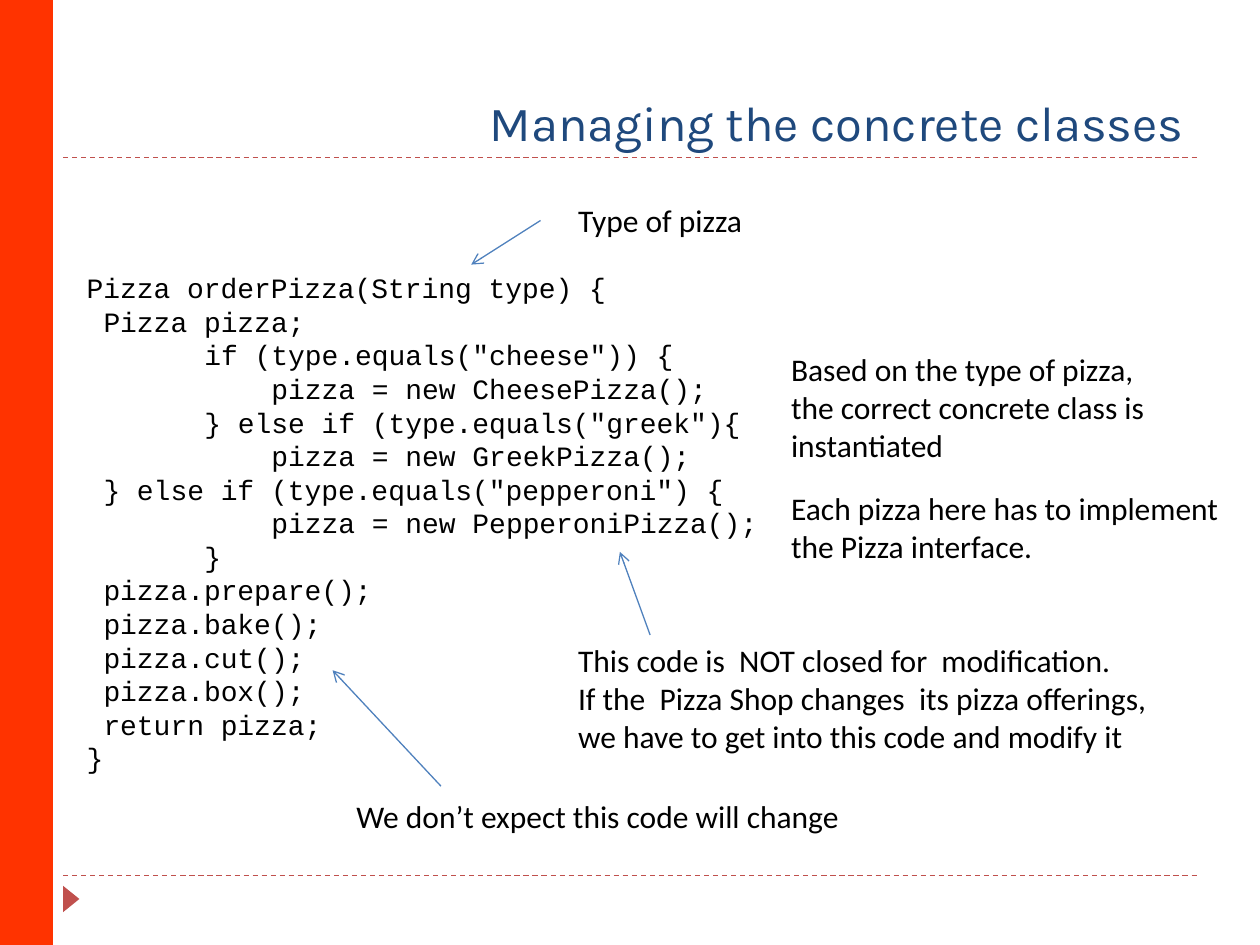
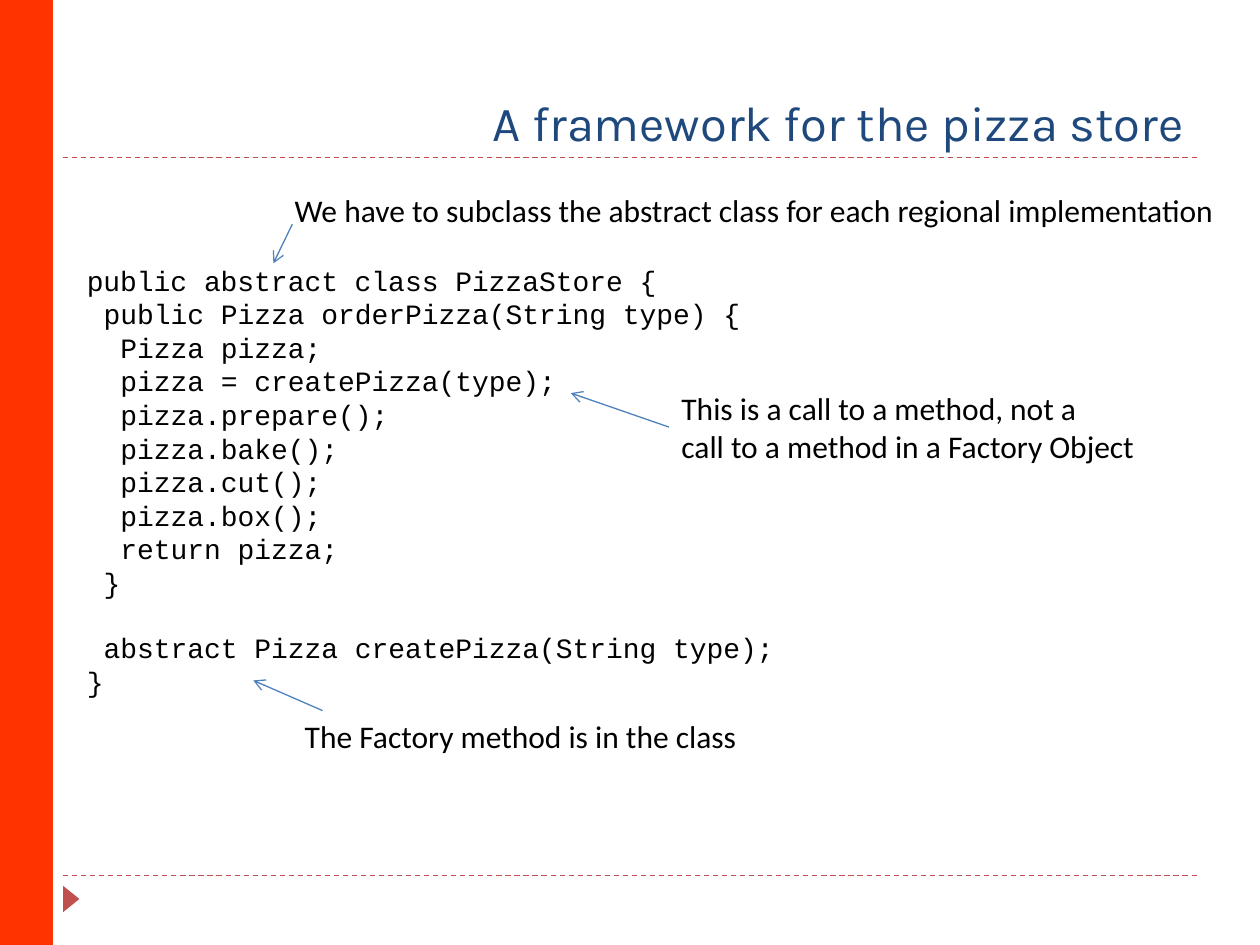
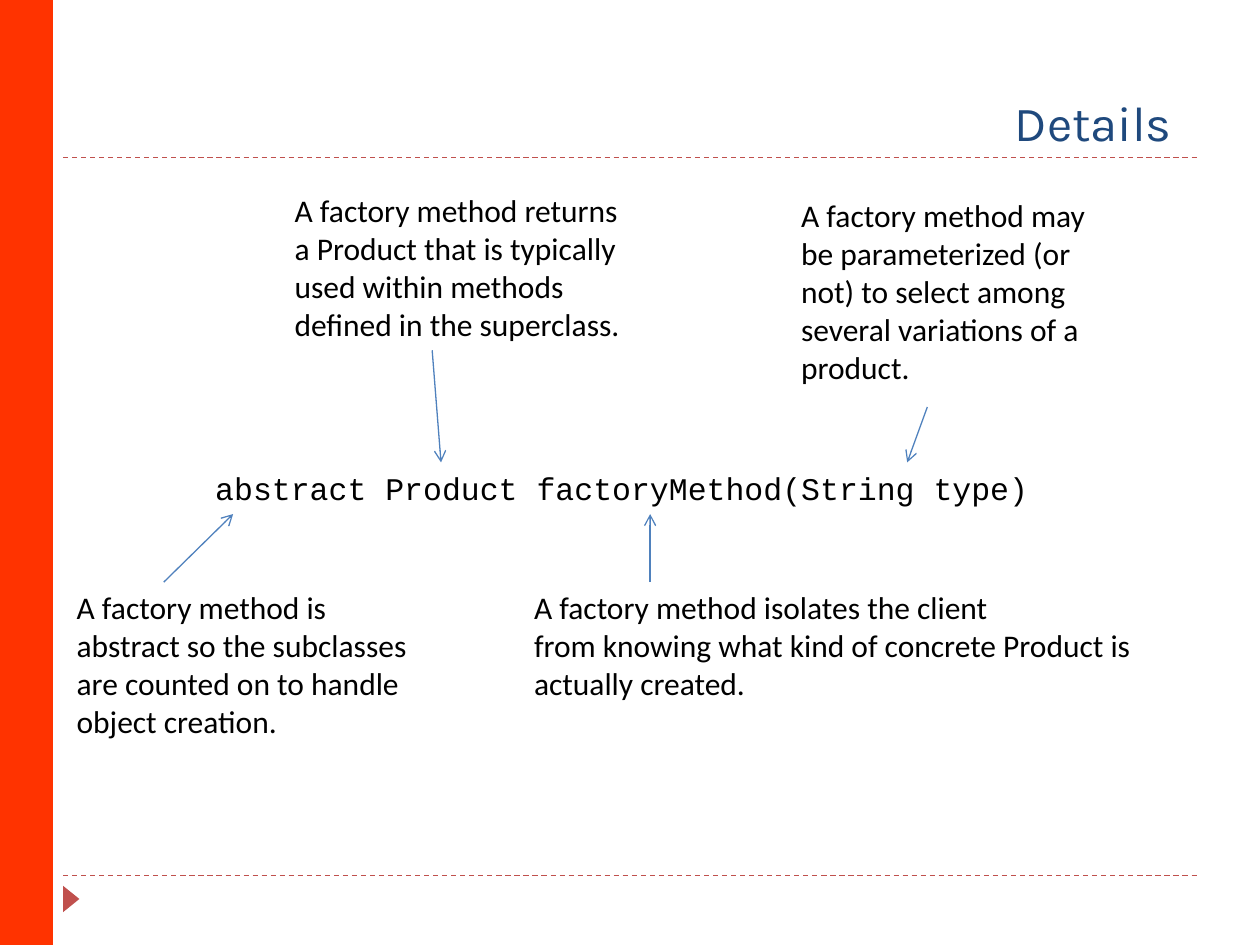
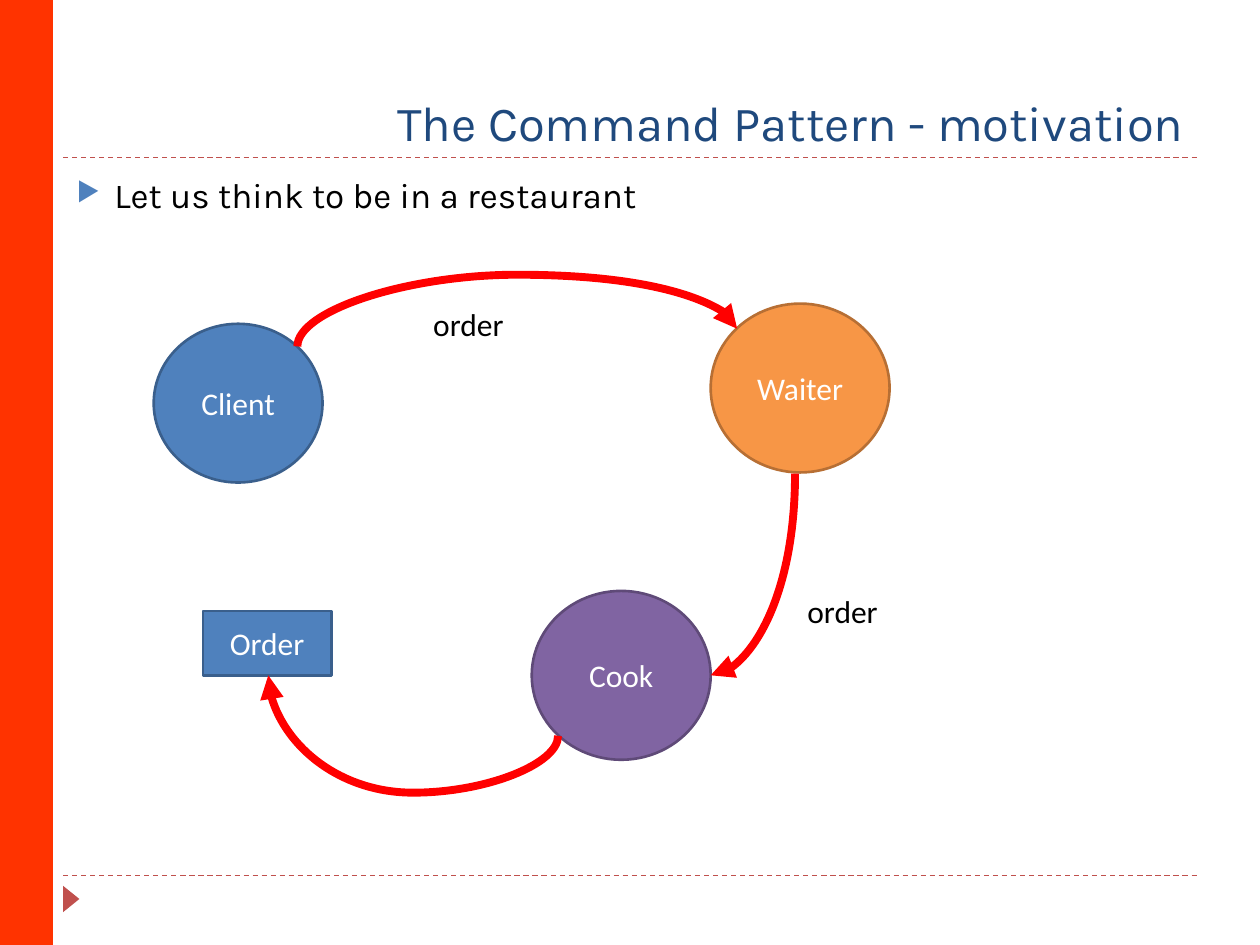
from lxml import etree
from pptx import Presentation
from pptx.dml.color import RGBColor
from pptx.enum.dml import MSO_LINE
from pptx.enum.shapes import MSO_CONNECTOR, MSO_SHAPE
from pptx.enum.text import MSO_ANCHOR, MSO_AUTO_SIZE, PP_ALIGN
from pptx.oxml.ns import qn
from pptx.util import Inches, Pt

STRAIGHT, CURVE = MSO_CONNECTOR.STRAIGHT, MSO_CONNECTOR.CURVE
RECTANGLE, OVAL = MSO_SHAPE.RECTANGLE, MSO_SHAPE.OVAL
TRIANGLE = MSO_SHAPE.ISOSCELES_TRIANGLE
TOP, MIDDLE, BOTTOM = MSO_ANCHOR.TOP, MSO_ANCHOR.MIDDLE, MSO_ANCHOR.BOTTOM
LEFT, CENTER, RIGHT = PP_ALIGN.LEFT, PP_ALIGN.CENTER, PP_ALIGN.RIGHT
FIT_SHAPE, NO_FIT = MSO_AUTO_SIZE.SHAPE_TO_FIT_TEXT, MSO_AUTO_SIZE.NONE
DASH = MSO_LINE.DASH

# Colours
BLACK = RGBColor(0x00, 0x00, 0x00)
WHITE = RGBColor(0xFF, 0xFF, 0xFF)
NAVY = RGBColor(0x1F, 0x49, 0x7D)
BLUE = RGBColor(0x4F, 0x81, 0xBD)
DARK_BLUE = RGBColor(0x3A, 0x5F, 0x8C)
ORANGE = RGBColor(0xF7, 0x96, 0x46)
DARK_ORANGE = RGBColor(0xB7, 0x6F, 0x34)
PURPLE = RGBColor(0x80, 0x64, 0xA2)
DARK_PURPLE = RGBColor(0x5F, 0x4A, 0x78)
BRICK = RGBColor(0xC0, 0x50, 0x4D)
BAND_RED = RGBColor(0xFF, 0x33, 0x00)
RED = RGBColor(0xFF, 0x00, 0x00)

# Text styles
TITLE = {"name": "Karla", "size": Pt(28), "color": NAVY}
BODY = {"name": "Karla", "size": Pt(20), "color": BLACK}
NOTE = {"name": "Calibri", "size": Pt(18), "color": BLACK}
LABEL = {"name": "Calibri", "size": Pt(18), "color": WHITE}
CODE = {"name": "Courier New", "size": Pt(16), "color": BLACK}
SIGNATURE = {**CODE, "size": Pt(18)}
CODE_CHARACTER = Pt(9.6)
CODE_LINE = Pt(18)

ORDER_CODE = """\
Pizza orderPizza(String type) {
 Pizza pizza;
       if (type.equals("cheese")) {
           pizza = new CheesePizza();
       } else if (type.equals("greek"){
           pizza = new GreekPizza();
 } else if (type.equals("pepperoni") {
           pizza = new PepperoniPizza();
       }
 pizza.prepare();
 pizza.bake();
 pizza.cut();
 pizza.box();
 return pizza;
}"""

STORE_CODE = """\
public abstract class PizzaStore {
 public Pizza orderPizza(String type) {
  Pizza pizza;
  pizza = createPizza(type);
  pizza.prepare();
  pizza.bake();
  pizza.cut();
  pizza.box();
  return pizza;
 }

 abstract Pizza createPizza(String type);
}"""


def inches(values):
    return [Inches(value) for value in values]


def write(paragraph, text, style, align=LEFT):
    paragraph.alignment = align
    run = paragraph.add_run()
    run.text = text
    for name, value in style.items():
        if name == "color":
            run.font.color.rgb = value
        else:
            setattr(run.font, name, value)


def next_paragraph(frame, first):
    return frame.paragraphs[0] if first else frame.add_paragraph()


def add_text(slide, box, lines, style=NOTE, wrap=True, align=LEFT,
             anchor=TOP, fit=FIT_SHAPE):
    frame = slide.shapes.add_textbox(*inches(box)).text_frame
    settings = {"word_wrap": wrap, "auto_size": fit, "vertical_anchor": anchor}
    for name, value in settings.items():
        setattr(frame, name, value)
    for index, line in enumerate(lines):
        write(next_paragraph(frame, index == 0), line, style, align)
    return frame


def add_code(slide, box, code):
    """Leading spaces become indents and empty lines become spacing."""
    frame = add_text(slide, box, [])
    gap = 0
    for index, line in enumerate(code.splitlines()):
        text = line.lstrip()
        if not text:
            gap += CODE_LINE
            continue
        paragraph = next_paragraph(frame, index == 0)
        write(paragraph, text, CODE)
        indent = (len(line) - len(text)) * CODE_CHARACTER
        paragraph._p.get_or_add_pPr().set("marL", str(indent))
        if gap:
            paragraph.space_before = gap
            gap = 0


def add_bullet(slide, box, text):
    paragraph = add_text(slide, box, [text], BODY, fit=NO_FIT).paragraphs[0]
    paragraph.space_before, paragraph.space_after = Pt(12), Pt(6)
    properties = paragraph._p.get_or_add_pPr()
    properties.set("marL", str(Inches(0.3)))
    properties.set("indent", str(Inches(-0.3)))
    color = etree.SubElement(properties, qn("a:buClr"))
    etree.SubElement(color, qn("a:srgbClr"), val=str(BLUE))
    etree.SubElement(properties, qn("a:buSzPct"), val="76000")
    etree.SubElement(properties, qn("a:buChar"), char="▶")


def add_shape(slide, kind, box, fill, outline=None, label=None):
    shape = slide.shapes.add_shape(kind, *inches(box))
    shape.shadow.inherit = False
    shape.fill.solid()
    shape.fill.fore_color.rgb = fill
    if outline is None:
        shape.line.fill.background()
    else:
        shape.line.color.rgb = outline
        shape.line.width = Pt(1.5)
    if label:
        shape.text_frame.vertical_anchor = MIDDLE
        write(shape.text_frame.paragraphs[0], label, LABEL, CENTER)
    return shape


def add_line(slide, start, end, color, width=0.75, kind=STRAIGHT, head=None):
    connector = slide.shapes.add_connector(kind, *inches(start + end))
    connector.line.color.rgb = color
    connector.line.width = Pt(width)
    properties = connector._element.spPr
    if head:
        etree.SubElement(properties.find(qn("a:ln")), qn("a:tailEnd"), type=head)
    etree.SubElement(properties, qn("a:effectLst"))
    return connector


def add_arrow(slide, start, end):
    add_line(slide, start, end, BLUE, head="arrow")


def add_curve(slide, start, end, preset, bend=None):
    """A curved arrow that leaves vertically, so its frame is turned by 90°."""
    connector = add_line(slide, start, end, RED, 4.5, CURVE, "triangle")
    across, down = end[0] - start[0], end[1] - start[1]
    width, height = abs(down), abs(across)
    connector.left = Inches((start[0] + end[0] - width) / 2)
    connector.top = Inches((start[1] + end[1] - height) / 2)
    connector.width, connector.height = Inches(width), Inches(height)
    properties = connector._element.spPr
    frame = properties.find(qn("a:xfrm"))
    turn = {"rot": "5400000", "flipH": str(int(down < 0)),
            "flipV": str(int(across > 0))}
    for name, value in turn.items():
        frame.set(name, value)
    geometry = properties.find(qn("a:prstGeom"))
    geometry.set("prst", preset)
    if bend is not None:
        etree.SubElement(geometry.find(qn("a:avLst")), qn("a:gd"),
                         name="adj1", fmla=f"val {round(bend * 100000)}")


def add_slide(presentation, title):
    """A slide with the shared rules, marker, side band and title."""
    slide = presentation.slides.add_slide(presentation.slide_layouts[6])
    for top in (6.95, 1.25):
        rule = add_line(slide, (0.5, top), (9.5, top), BRICK)
        rule.line.dash_style = DASH
    add_shape(slide, TRIANGLE, (0.46, 7.07, 0.21, 0.13), BRICK).rotation = 90
    add_shape(slide, RECTANGLE, (0, 0, 0.42, 7.5), BAND_RED)
    add_text(slide, (0.51, 0.17, 8.98, 1.08), [title], TITLE,
             align=RIGHT, anchor=BOTTOM, fit=NO_FIT)
    return slide


def concrete_classes(presentation):
    slide = add_slide(presentation, "Managing the concrete classes")
    add_code(slide, (0.59, 2.1, 5.83, 4.14), ORDER_CODE)
    add_text(slide, (4.49, 1.55, 1.52, 0.4), ["Type of pizza"], wrap=False)
    add_text(slide, (6.18, 2.73, 3.1, 1.01),
             ["Based on the type of pizza,", "the correct concrete class is",
              "instantiated"], wrap=False)
    add_text(slide, (6.18, 3.83, 3.62, 0.71),
             ["Each pizza here has to implement", "the Pizza interface."])
    add_text(slide, (4.49, 5.04, 5, 1.01),
             ["This code is  NOT closed for  modification.",
              "If the  Pizza Shop changes  its pizza offerings, "
              "we have to get into this code and modify it"])
    add_text(slide, (2.73, 6.28, 5, 0.4),
             ["We don’t expect this code will change"])
    add_arrow(slide, (4.29, 1.75), (3.74, 2.1))
    add_arrow(slide, (5.16, 5.04), (4.92, 4.38))
    add_arrow(slide, (3.5, 6.24), (2.64, 5.32))


def store_framework(presentation):
    slide = add_slide(presentation, "A framework for the pizza store")
    add_code(slide, (0.59, 2.04, 5.91, 3.6), STORE_CODE)
    add_text(slide, (2.24, 1.47, 7.58, 0.4),
             ["We have to subclass the abstract class for each regional "
              "implementation"], wrap=False)
    add_text(slide, (2.32, 5.64, 3.67, 0.4),
             ["The Factory method is in the class"], wrap=False)
    add_text(slide, (5.31, 3.04, 3.87, 0.71),
             ["This is a call to a method, not a",
              "call to a method in a Factory Object"], wrap=False)
    add_arrow(slide, (2.32, 1.78), (2.17, 2.09))
    add_arrow(slide, (2.56, 5.64), (2.01, 5.4))
    add_arrow(slide, (5.31, 3.39), (4.53, 3.12))


def method_details(presentation):
    slide = add_slide(presentation, "Details ")
    add_text(slide, (1.61, 3.67, 6.68, 0.4),
             ["abstract Product factoryMethod(String type)"],
             SIGNATURE, wrap=False)
    add_text(slide, (0.51, 4.62, 2.99, 1.31),
             ["A factory method is abstract so the subclasses are counted on "
              "to handle object creation."])
    add_text(slide, (2.24, 1.47, 3.13, 1.31),
             ["A factory method returns", "a Product that is typically",
              "used within methods", "defined in the superclass."])
    add_text(slide, (4.14, 4.62, 5, 1.01),
             ["A factory method isolates the client",
              "from knowing what kind of concrete Product is actually created."])
    add_text(slide, (6.26, 1.51, 2.5, 1.62),
             ["A factory method may", "be parameterized (or",
              "not) to select among", "several variations of a", "product."])
    add_arrow(slide, (1.3, 4.62), (1.85, 4.08))
    add_arrow(slide, (3.43, 2.78), (3.5, 3.67))
    add_arrow(slide, (5.16, 4.62), (5.16, 4.08))
    add_arrow(slide, (7.36, 3.23), (7.2, 3.67))


def command_motivation(presentation):
    slide = add_slide(presentation, "The Command Pattern - motivation")
    add_bullet(slide, (0.51, 1.33, 9, 0.68),
               "Let us think to be in a restaurant")
    # People and the finished order
    add_shape(slide, OVAL, (1.22, 2.57, 1.34, 1.26), BLUE, DARK_BLUE, "Client")
    add_shape(slide, OVAL, (5.64, 2.41, 1.42, 1.34), ORANGE, DARK_ORANGE, "Waiter")
    add_shape(slide, OVAL, (4.22, 4.69, 1.42, 1.34), PURPLE, DARK_PURPLE, "Cook")
    add_shape(slide, RECTANGLE, (1.61, 4.85, 1.02, 0.51), BLUE, DARK_BLUE, "Order")
    # The way of the order
    add_curve(slide, (2.36, 2.75), (5.85, 2.61), "curvedConnector3", 4.06)
    add_curve(slide, (6.31, 3.76), (5.64, 5.36), "curvedConnector2")
    add_curve(slide, (4.43, 5.84), (2.13, 5.36), "curvedConnector3", -0.94)
    for left, top in ((3.34, 2.37), (6.31, 4.65)):
        add_text(slide, (left, top, 0.77, 0.4), ["order"], wrap=False)


def main():
    presentation = Presentation()
    presentation.slide_width = Inches(10)
    presentation.slide_height = Inches(7.5)
    concrete_classes(presentation)
    store_framework(presentation)
    method_details(presentation)
    command_motivation(presentation)
    presentation.save("out.pptx")


if __name__ == "__main__":
    main()
